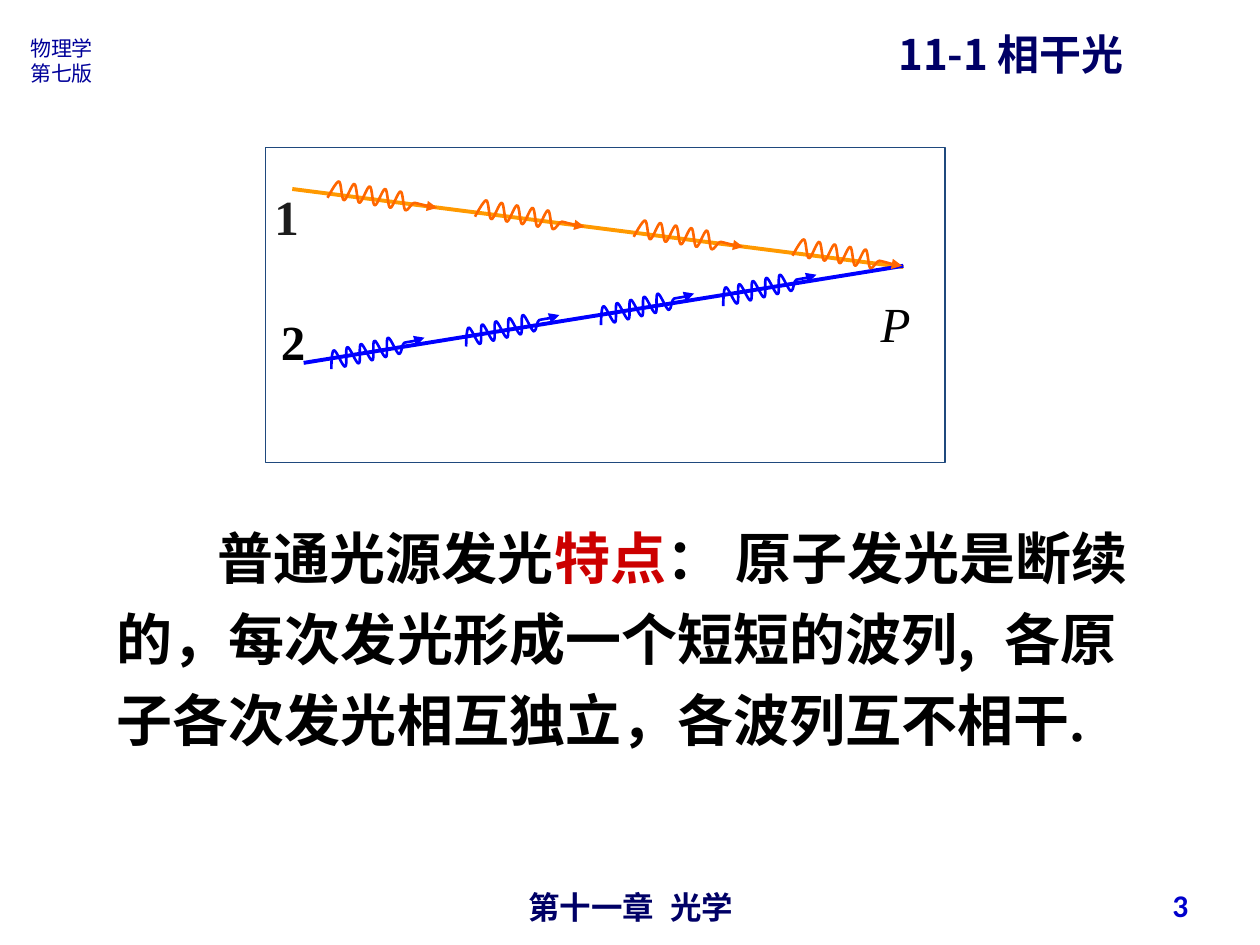
from lxml import etree
from pptx import Presentation
from pptx.dml.color import RGBColor
from pptx.enum.shapes import MSO_CONNECTOR, MSO_SHAPE
from pptx.enum.text import MSO_ANCHOR, MSO_AUTO_SIZE, PP_ALIGN
from pptx.oxml.ns import qn
from pptx.util import Inches, Pt

STRAIGHT = MSO_CONNECTOR.STRAIGHT
RECTANGLE = MSO_SHAPE.RECTANGLE
TOP, MIDDLE = MSO_ANCHOR.TOP, MSO_ANCHOR.MIDDLE
LEFT, CENTER, RIGHT = PP_ALIGN.LEFT, PP_ALIGN.CENTER, PP_ALIGN.RIGHT
NO_AUTOFIT = MSO_AUTO_SIZE.NONE

COLORS = {
    "navy": "000066", "edition": "000099", "number": "0000CC",
    "black": "000000", "label": "1C1C1C", "emphasis": "CC0000",
    "white": "FFFFFF", "frame": "1F497D",
    "ray1": "FF9900", "wave1": "FF6600", "ray2": "0000FF",
}
CJK, TIMES = "Noto Sans CJK SC", "Times New Roman"

CREST_COUNT = 5
# Offsets in inches: crest and trough from the start, span from the first
# crest to the last one, tail from the last trough
WAVE_1 = {"crest": (0.09, -0.13), "trough": (0.13, 0.02), "span": (0.49, 0.08),
          "tail": [(0.07, -0.06), (0.19, -0.03), (0.25, -0.02)]}
WAVE_2 = {"crest": (0.02, -0.15), "trough": (0.11, -0.02), "span": (0.43, -0.1),
          "tail": [(0.04, -0.09), (0.15, -0.11), (0.2, -0.13)]}
STARTS_1 = [(2.6, 1.57), (3.77, 1.72), (5.03, 1.88), (6.29, 2.03)]
STARTS_2 = [(2.63, 2.93), (3.7, 2.75), (4.77, 2.58), (5.74, 2.43)]


def rgb(name):
    return RGBColor.from_string(COLORS[name])


def add_run(p, text, size, color, font=CJK, bold=False, italic=False, spacing=0):
    """Add a run; spacing is the extra letter spacing in points."""
    r = p.add_run()
    r.text = text
    f = r.font
    f.name, f.size, f.bold, f.italic = font, Pt(size), bold, italic
    f.color.rgb = rgb(color)
    props = r._r.get_or_add_rPr()
    etree.SubElement(props, qn("a:ea"), typeface=CJK)
    if spacing:
        props.set("spc", str(int(spacing * 100)))


def add_text(s, box, lines, align=LEFT, anchor=TOP, wrap=True):
    """Add a text box; each line is a list of add_run argument tuples."""
    sp = s.shapes.add_textbox(*map(Inches, box))
    tf = sp.text_frame
    tf.word_wrap, tf.vertical_anchor = wrap, anchor
    for i, runs in enumerate(lines):
        p = tf.add_paragraph() if i else tf.paragraphs[0]
        p.alignment = align
        for run in runs:
            add_run(p, *run)
    return sp


def add_title(s, text):
    sp = s.shapes.title
    sp.left, sp.top, sp.width, sp.height = map(Inches, (7.03, 0.1, 2.27, 1.06))
    tf = sp.text_frame
    tf.auto_size, tf.vertical_anchor, tf.word_wrap = NO_AUTOFIT, TOP, True
    p = tf.paragraphs[0]
    p.alignment, p.line_spacing = LEFT, 1.2
    add_run(p, text, 24, "navy", CJK, True)


def add_frame(s):
    sp = s.shapes.add_shape(RECTANGLE, *map(Inches, (2.11, 1.17, 5.39, 2.5)))
    sp.shadow.inherit = False
    sp.fill.solid()
    sp.fill.fore_color.rgb = rgb("white")
    sp.line.color.rgb = rgb("frame")
    sp.line.width = Pt(0.75)


def add_ray(s, start, end, color):
    ray = s.shapes.add_connector(STRAIGHT, *map(Inches, start + end))
    ray.line.color.rgb = rgb(color)
    ray.line.width = Pt(2.25)
    etree.SubElement(ray._element.spPr, qn("a:effectLst"))


def shift(point, step, times=1):
    return point[0] + step[0] * times, point[1] + step[1] * times


def wave_knots(start, wave):
    """List the crests, troughs and tail points that follow the start."""
    knots = []
    for k in range(CREST_COUNT):
        for extreme in ("crest", "trough"):
            knots.append(shift(shift(start, wave[extreme]), wave["span"],
                               k / (CREST_COUNT - 1)))
    return knots + [shift(knots[-1], offset) for offset in wave["tail"]]


def smooth_segments(sp, tangent):
    """Turn the straight segments of a freeform into cubic curves."""
    geometry = sp._element.spPr
    point = next(geometry.iter(qn("a:moveTo")))[0]
    a = int(point.get("x")), int(point.get("y"))
    for i, segment in enumerate(list(geometry.iter(qn("a:lnTo")))):
        d = int(segment[0].get("x")), int(segment[0].get("y"))
        curve = etree.Element(qn("a:cubicBezTo"))
        for x, y in (shift(a, tangent) if i else a, shift(d, tangent, -1), d):
            etree.SubElement(curve, qn("a:pt"), x=str(int(x)), y=str(int(y)))
        segment.getparent().replace(segment, curve)
        a = d


def add_wave(s, start, wave, color):
    builder = s.shapes.build_freeform(*map(Inches, start))
    builder.add_line_segments(
        [(Inches(x), Inches(y)) for x, y in wave_knots(start, wave)], close=False)
    sp = builder.convert_to_shape()
    dx, dy = wave["span"]
    smooth_segments(sp, (Inches(0.02), Inches(0.02 * dy / dx)))
    sp.shadow.inherit = False
    sp.fill.background()
    sp.line.color.rgb = rgb(color)
    sp.line.width = Pt(1.5)
    line = sp._element.spPr.find(qn("a:ln"))
    etree.SubElement(line, qn("a:tailEnd"), type="triangle")


def add_diagram(s):
    add_frame(s)
    add_ray(s, (2.32, 1.5), (7.17, 2.12), "ray1")
    add_ray(s, (2.41, 2.88), (7.17, 2.11), "ray2")
    for starts, wave, color in ((STARTS_2, WAVE_2, "ray2"), (STARTS_1, WAVE_1, "wave1")):
        for start in starts:
            add_wave(s, start, wave, color)
    add_text(s, (6.89, 2.28, 0.44, 0.57),
             [[("P", 28, "black", TIMES, False, True)]], wrap=False)
    add_text(s, (2.13, 2.42, 0.39, 0.57),
             [[("2", 28, "black", TIMES, True)]], wrap=False)
    add_text(s, (2.08, 1.43, 0.66, 0.57), [[("1", 28, "label", TIMES, True)]])


def add_body(s):
    runs = [
        ("普通光源发光", "black", TIMES, 0),
        ("特点", "emphasis", TIMES, 0),
        ("： 原子发光是断续的，每次发光形成一个短短的波列", "black", TIMES, 0),
        (", ", "black", CJK, 4.5),
        ("各原子各次发光相互独立，各波列互不相干.", "black", TIMES, 0),
    ]
    sp = add_text(s, (0.83, 4, 8.5, 2.02),
                  [[(text, 32, color, font, True, False, spacing)
                    for text, color, font, spacing in runs]],
                  anchor=MIDDLE)
    p = sp.text_frame.paragraphs[0]
    p.line_spacing = 1.2
    p._p.get_or_add_pPr().set("indent", str(Inches(0.8)))


def add_footer(s):
    chapter = [(text, 18, "navy", "Arial", True, False, spacing)
               for text, spacing in (("第十一章", 0), (" ", 5), ("光学", 0))]
    add_text(s, (3.42, 7, 3.17, 0.29), [chapter], CENTER)
    add_text(s, (7.2, 6.98, 2.33, 0.4),
             [[("3", 18, "number", "Calibri", True)]], RIGHT, MIDDLE)


def main():
    prs = Presentation()
    prs.slide_width, prs.slide_height = Inches(10), Inches(7.5)
    s = prs.slides.add_slide(prs.slide_layouts[5])
    add_title(s, "11-1 相干光")
    add_text(s, (0.14, 0.23, 0.72, 0.5),
             [[(text, 12, "edition")] for text in ("物理学", "第七版")])
    add_footer(s)
    add_diagram(s)
    add_body(s)
    prs.save("out.pptx")


if __name__ == "__main__":
    main()
